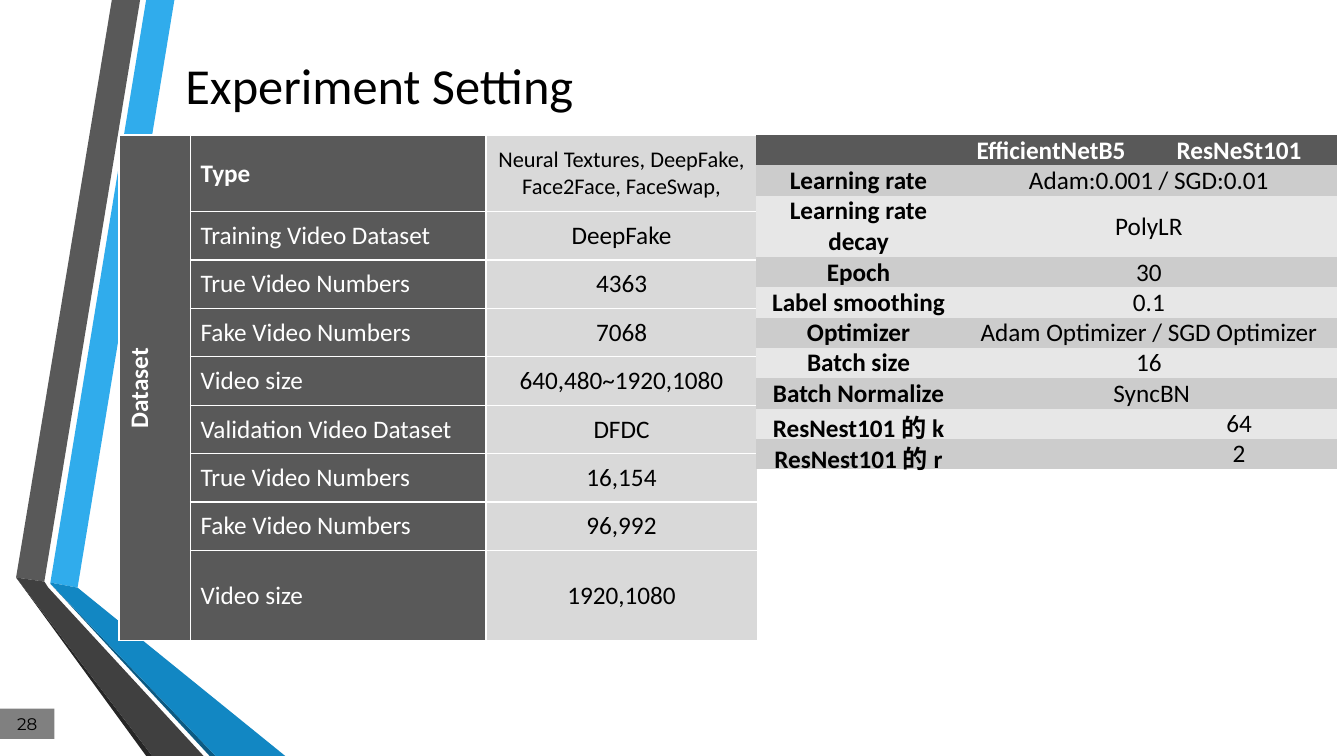
"""Build the experiment setting slide with its dataset and training tables."""
from dataclasses import dataclass
from typing import Any

import lxml.etree
import pptx
import pptx.dml.color
import pptx.enum.shapes
import pptx.enum.text
import pptx.oxml.ns
import pptx.util

Inches = pptx.util.Inches
Pt = pptx.util.Pt
RGBColor = pptx.dml.color.RGBColor
Align = pptx.enum.text.PP_ALIGN
Anchor = pptx.enum.text.MSO_ANCHOR
qn = pptx.oxml.ns.qn

WHITE = RGBColor(0xFF, 0xFF, 0xFF)
BLACK = RGBColor(0x00, 0x00, 0x00)
SLATE = RGBColor(0x59, 0x59, 0x59)
CHARCOAL = RGBColor(0x40, 0x40, 0x40)
CHARCOAL_EDGE = RGBColor(0x26, 0x26, 0x26)
SKY = RGBColor(0x30, 0xAC, 0xEC)
BLUE = RGBColor(0x12, 0x87, 0xC3)
BLUE_EDGE = RGBColor(0x0C, 0x5A, 0x82)
GRAY = RGBColor(0x80, 0x80, 0x80)
VALUE_FILL = RGBColor(0xD9, 0xD9, 0xD9)
BANDS = (RGBColor(0xCC, 0xCC, 0xCC), RGBColor(0xE7, 0xE7, 0xE7))
PLAIN_TABLE_STYLE = "{2D5ABB26-0587-4C30-8999-92F81FD0307C}"


@dataclass(frozen=True)
class Ribbon:
    color: RGBColor
    points: tuple[tuple[float, float], ...]


@dataclass(frozen=True)
class Setting:
    label: str
    value: str
    resnest_only: bool = False


RIBBONS = (
    Ribbon(SKY, ((0.5, 5.78), (0.77, 5.83), (1.73, 0), (1.45, 0))),
    Ribbon(SLATE, ((1.39, 0), (1.11, 0), (0.16, 5.73), (0.44, 5.77))),
    Ribbon(CHARCOAL_EDGE, ((0.16, 5.73), (1.45, 7.5), (1.51, 7.5))),
    Ribbon(BLUE_EDGE, ((0.5, 5.79), (2.08, 7.5), (2.14, 7.5))),
    Ribbon(BLUE, ((0.5, 5.79), (2.14, 7.5), (2.83, 7.5), (0.77, 5.83), (0.5, 5.78))),
    Ribbon(CHARCOAL, ((2.02, 7.5), (0.48, 5.83), (0.44, 5.77), (0.16, 5.73), (1.51, 7.5))),
)
DATASET = (
    Setting("Type", "Neural Textures, DeepFake, Face2Face, FaceSwap,"),
    Setting("Training Video Dataset", "DeepFake"),
    Setting("True Video Numbers", "4363"),
    Setting("Fake Video Numbers", "7068"),
    Setting("Video size", "640,480~1920,1080"),
    Setting("Validation Video Dataset", "DFDC"),
    Setting("True Video Numbers", "16,154"),
    Setting("Fake Video Numbers", "96,992"),
    Setting("Video size", "1920,1080"),
)
TRAINING = (
    Setting("Learning rate", "Adam:0.001 / SGD:0.01"),
    Setting("Learning rate decay", "PolyLR"),
    Setting("Epoch", "30"),
    Setting("Label smoothing", "0.1"),
    Setting("Optimizer", "Adam Optimizer / SGD Optimizer"),
    Setting("Batch size", "16"),
    Setting("Batch Normalize", " SyncBN"),
    Setting("ResNest101 的 k", "64", resnest_only=True),
    Setting("ResNest101 的 r", "2", resnest_only=True),
)


def write_text(frame: Any, text: str, *, size: float = 18, color: RGBColor = BLACK,
               bold: bool = False, font: str = "Calibri", align: Any = Align.CENTER) -> None:
    paragraph = frame.paragraphs[0]
    paragraph.alignment = align
    run = paragraph.add_run()
    run.text = text
    run.font.size = Pt(size)
    run.font.name = font
    run.font.bold = bold
    run.font.color.rgb = color


def fill_cell(cell: Any, fill: RGBColor, text: str = "", **text_format: Any) -> None:
    cell.fill.solid()
    cell.fill.fore_color.rgb = fill
    cell.vertical_anchor = Anchor.MIDDLE
    if text:
        write_text(cell.text_frame, text, **text_format)


def border_cell(cell: Any, color: RGBColor) -> None:
    properties = cell._tc.get_or_add_tcPr()
    for index, side in enumerate(("a:lnL", "a:lnR", "a:lnT", "a:lnB")):
        line = lxml.etree.Element(qn(side), w=str(Pt(1)))
        solid = lxml.etree.SubElement(line, qn("a:solidFill"))
        lxml.etree.SubElement(solid, qn("a:srgbClr"), val=str(color))
        properties.insert(index, line)


def add_plain_table(slide: Any, left: float, top: float, widths: list[float],
                    heights: list[float]) -> Any:
    frame = slide.shapes.add_table(len(heights), len(widths), Inches(left), Inches(top),
                                   Inches(sum(widths)), Inches(sum(heights)))
    table = frame.table
    table.first_row = table.horz_banding = False
    table._tbl.tblPr.find(qn("a:tableStyleId")).text = PLAIN_TABLE_STYLE
    for column, width in zip(table.columns, widths):
        column.width = Inches(width)
    for row, height in zip(table.rows, heights):
        row.height = Inches(height)
    return table


def draw_ribbon(slide: Any, ribbon: Ribbon) -> None:
    points = [(Inches(x), Inches(y)) for x, y in ribbon.points]
    builder = slide.shapes.build_freeform(*points[0])
    builder.add_line_segments(points[1:], close=True)
    shape = builder.convert_to_shape()
    shape.shadow.inherit = False
    shape.fill.solid()
    shape.fill.fore_color.rgb = ribbon.color
    shape.line.fill.background()


def draw_title(slide: Any) -> None:
    box = slide.shapes.add_textbox(Inches(1.74), Inches(0.33), Inches(10.96), Inches(1.02))
    box.text_frame.word_wrap = True
    box.text_frame.vertical_anchor = Anchor.MIDDLE
    write_text(box.text_frame, "Experiment Setting", size=36, align=Align.LEFT)


def draw_dataset_table(slide: Any) -> None:
    heights = [0.76] + [0.48] * (len(DATASET) - 1)
    table = add_plain_table(slide, 1.18, 1.34, [0.71, 2.93, 2.69], heights)
    for row, setting in enumerate(DATASET):
        header = row == 0
        fill_cell(table.cell(row, 0), SLATE)
        fill_cell(table.cell(row, 1), SLATE, setting.label, color=WHITE, bold=header,
                  align=Align.LEFT)
        fill_cell(table.cell(row, 2), VALUE_FILL, setting.value, size=16 if header else 18)
    for cell in table.iter_cells():
        border_cell(cell, WHITE)
    heading = table.cell(0, 0)
    heading.merge(table.cell(len(DATASET) - 1, 0))
    write_text(heading.text_frame, "Dataset", color=WHITE, bold=True)
    heading._tc.get_or_add_tcPr().set("vert", "vert270")


def draw_training_table(slide: Any) -> None:
    heights = [0.3] + [0.61 if setting.label == "Learning rate decay" else 0.3
                       for setting in TRAINING]
    table = add_plain_table(slide, 7.5, 1.34, [2.03, 1.79, 1.94], heights)
    for cell in table.iter_cells():
        cell.margin_left = cell.margin_right = Inches(0.07)
        cell.margin_top = cell.margin_bottom = 0
    for column, text in enumerate(("", "EfficientNetB5", "ResNeSt101")):
        fill_cell(table.cell(0, column), SLATE, text, color=WHITE, bold=True)
    for row, setting in enumerate(TRAINING, start=1):
        band = BANDS[(row - 1) % 2]
        fill_cell(table.cell(row, 0), band, setting.label, bold=True)
        if setting.resnest_only:
            fill_cell(table.cell(row, 1), band)
            fill_cell(table.cell(row, 2), band, setting.value)
        else:
            table.cell(row, 1).merge(table.cell(row, 2))
            fill_cell(table.cell(row, 1), band, setting.value)


def draw_slide_number(slide: Any) -> None:
    shape = slide.shapes.add_shape(pptx.enum.shapes.MSO_SHAPE.RECTANGLE, 0, Inches(7.03),
                                   Inches(0.54), Inches(0.3))
    shape.shadow.inherit = False
    shape.fill.solid()
    shape.fill.fore_color.rgb = GRAY
    shape.line.fill.background()
    write_text(shape.text_frame, "28", size=12, font="Montserrat")


def main() -> None:
    presentation = pptx.Presentation()
    presentation.slide_width = Inches(13.33)
    presentation.slide_height = Inches(7.5)
    slide = presentation.slides.add_slide(presentation.slide_layouts[6])
    for ribbon in RIBBONS:
        draw_ribbon(slide, ribbon)
    draw_title(slide)
    draw_dataset_table(slide)
    draw_slide_number(slide)
    draw_training_table(slide)
    presentation.save("out.pptx")


if __name__ == "__main__":
    main()
